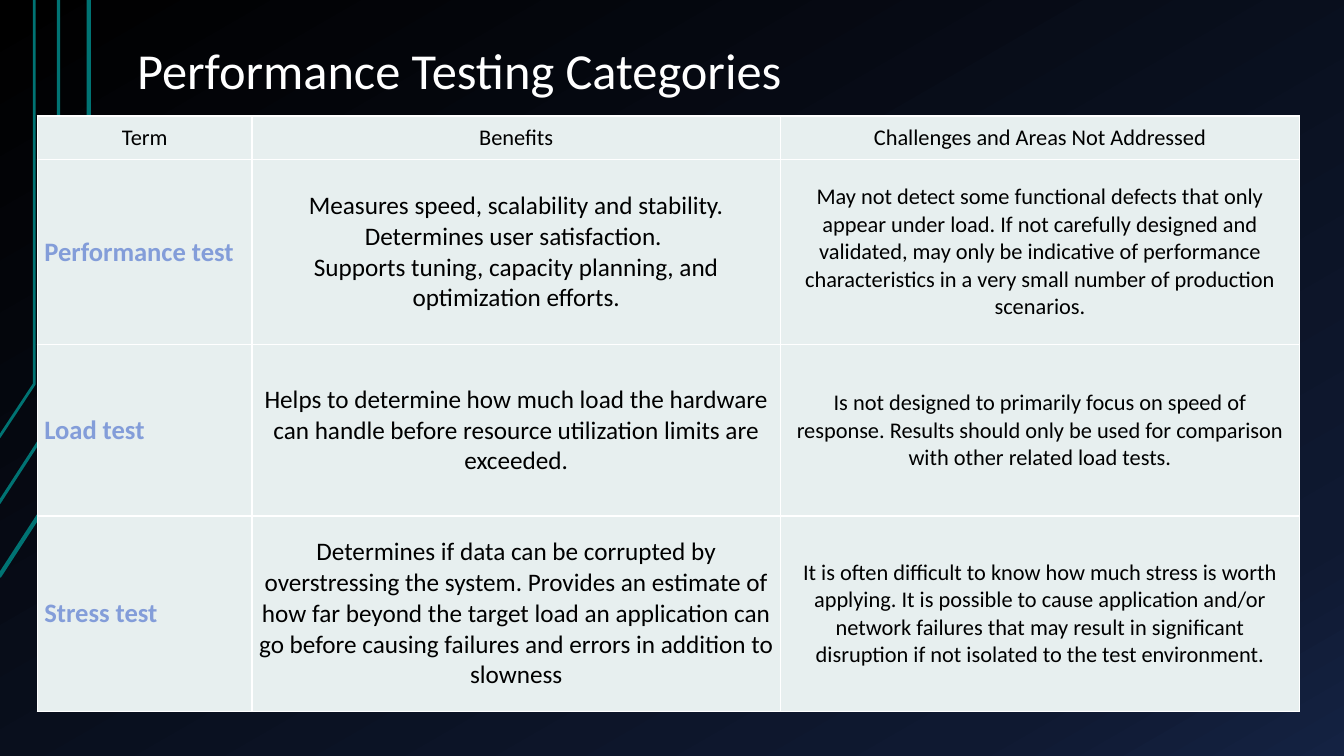
from copy import deepcopy

from pptx import Presentation
from pptx.dml.color import RGBColor
from pptx.enum.text import MSO_ANCHOR as Anchor, PP_ALIGN as Align
from pptx.oxml import parse_xml
from pptx.oxml.ns import nsdecls, qn
from pptx.util import Inches, Pt

FONT = "Calibri"
BLACK, WHITE, TEAL = "000000", "FFFFFF", "007373"
CELL_FILL, TERM_BLUE = "E7EFEF", "839DD9"

BACKGROUND_STOPS = [(0, BLACK), (0.85, "0F1931"), (1, "142242")]

# Each rail: x of the upright, y of the bend, y at the left edge, line width
RAILS = [(0.88, 4.35, 5.72, 3), (0.58, 4.08, 4.99, 2.25), (0.34, 3.81, 4.34, 2)]

COLUMNS = [2.13, 5.24, 5.15]
ROWS = [0.43, 1.84, 1.7, 1.94]
HEADER = ["Term", "Benefits", "Challenges and Areas Not Addressed"]
TESTS = [
    ["Performance test",
     "Measures speed, scalability and stability. Determines user satisfaction. \n"
     "Supports tuning, capacity planning, and optimization efforts.",
     "May not detect some functional defects that only appear under load. "
     "If not carefully designed and validated, may only be indicative of "
     "performance characteristics in a very small number of production scenarios."],
    ["Load test",
     "Helps to determine how much load the hardware can handle before resource "
     "utilization limits are exceeded.",
     "Is not designed to primarily focus on speed of response. Results should "
     "only be used for comparison with other related load tests."],
    ["Stress test",
     "Determines if data can be corrupted by overstressing the system. Provides "
     "an estimate of how far beyond the target load an application can go before "
     "causing failures and errors in addition to slowness",
     "It is often difficult to know how much stress is worth applying. It is "
     "possible to cause application and/or network failures that may result in "
     "significant disruption if not isolated to the test environment."],
]

# Style of a cell: size, colour, bold, alignment
HEADER_STYLE = (16, BLACK, False, Align.CENTER)
COLUMN_STYLES = [
    (19, TERM_BLUE, True, Align.JUSTIFY),
    (18, BLACK, False, Align.CENTER),
    (16, BLACK, False, Align.CENTER),
]


def paint(color, value):
    color.rgb = RGBColor.from_string(value)


def format_text(frame, size, color, bold, align):
    for para in frame.paragraphs:
        para.alignment = align
        for span in para.runs:
            span.font.name, span.font.size, span.font.bold = FONT, Pt(size), bold
            paint(span.font.color, color)


def add_background(page):
    fill = page.background.fill
    fill.gradient()
    fill.gradient_angle = 300
    # The default gradient has two stops; add the third
    stops = page.element.find(".//" + qn("a:gsLst"))
    stops.append(deepcopy(stops[0]))
    for stop, (position, color) in zip(fill.gradient_stops, BACKGROUND_STOPS):
        stop.position = position
        paint(stop.color, color)


def add_rails(page, left):
    for x, bend, end, width in RAILS:
        builder = page.shapes.build_freeform(Inches(left), Inches(end))
        builder.add_line_segments(
            [(Inches(x), Inches(bend)), (Inches(x), 0)], close=False)
        rail = builder.convert_to_shape()
        rail.shadow.inherit = False
        rail.fill.background()
        rail.line.width = Pt(width)
        paint(rail.line.color, TEAL)


def add_title(page, box):
    title = page.shapes.title
    title.left, title.top, title.width, title.height = map(Inches, box)
    frame = title.text_frame
    frame.text = "Performance Testing Categories"
    frame.vertical_anchor = Anchor.BOTTOM
    frame.margin_left = frame.margin_right = Inches(0.13)
    frame.margin_top = frame.margin_bottom = Inches(0.07)
    format_text(frame, 36, WHITE, False, Align.LEFT)
    frame.paragraphs[0].line_spacing = 0.9


def add_borders(cell):
    properties = cell._tc.get_or_add_tcPr()
    for index, side in enumerate(("lnL", "lnR", "lnT", "lnB")):
        properties.insert(index, parse_xml(
            f'<a:{side} {nsdecls("a")} w="{Pt(1)}"><a:solidFill>'
            f'<a:srgbClr val="{WHITE}"/></a:solidFill></a:{side}>'))


def fill_cell(cell, text, style):
    cell.text_frame.text = text
    cell.vertical_anchor = Anchor.MIDDLE
    cell.margin_left = cell.margin_right = Inches(0.07)
    cell.margin_top = cell.margin_bottom = 0
    cell.fill.solid()
    paint(cell.fill.fore_color, CELL_FILL)
    format_text(cell.text_frame, *style)
    add_borders(cell)


def add_categories(page, left, top):
    table = page.shapes.add_table(
        len(ROWS), len(COLUMNS), Inches(left), Inches(top),
        Inches(sum(COLUMNS)), Inches(sum(ROWS))).table
    for column, width in zip(table.columns, COLUMNS):
        column.width = Inches(width)
    for row, height in zip(table.rows, ROWS):
        row.height = Inches(height)
    for r, texts in enumerate([HEADER] + TESTS):
        for c, text in enumerate(texts):
            style = COLUMN_STYLES[c] if r else HEADER_STYLE
            fill_cell(table.cell(r, c), text, style)


def main():
    deck = Presentation()
    deck.slide_width, deck.slide_height = Inches(13.33), Inches(7.5)
    page = deck.slides.add_slide(deck.slide_layouts.get_by_name("Title Only"))
    add_background(page)
    add_rails(page, -0.01)
    add_title(page, (1.23, 0, 11.33, 1.07))
    add_categories(page, 0.37, 1.15)
    deck.save("out.pptx")


if __name__ == "__main__":
    main()
